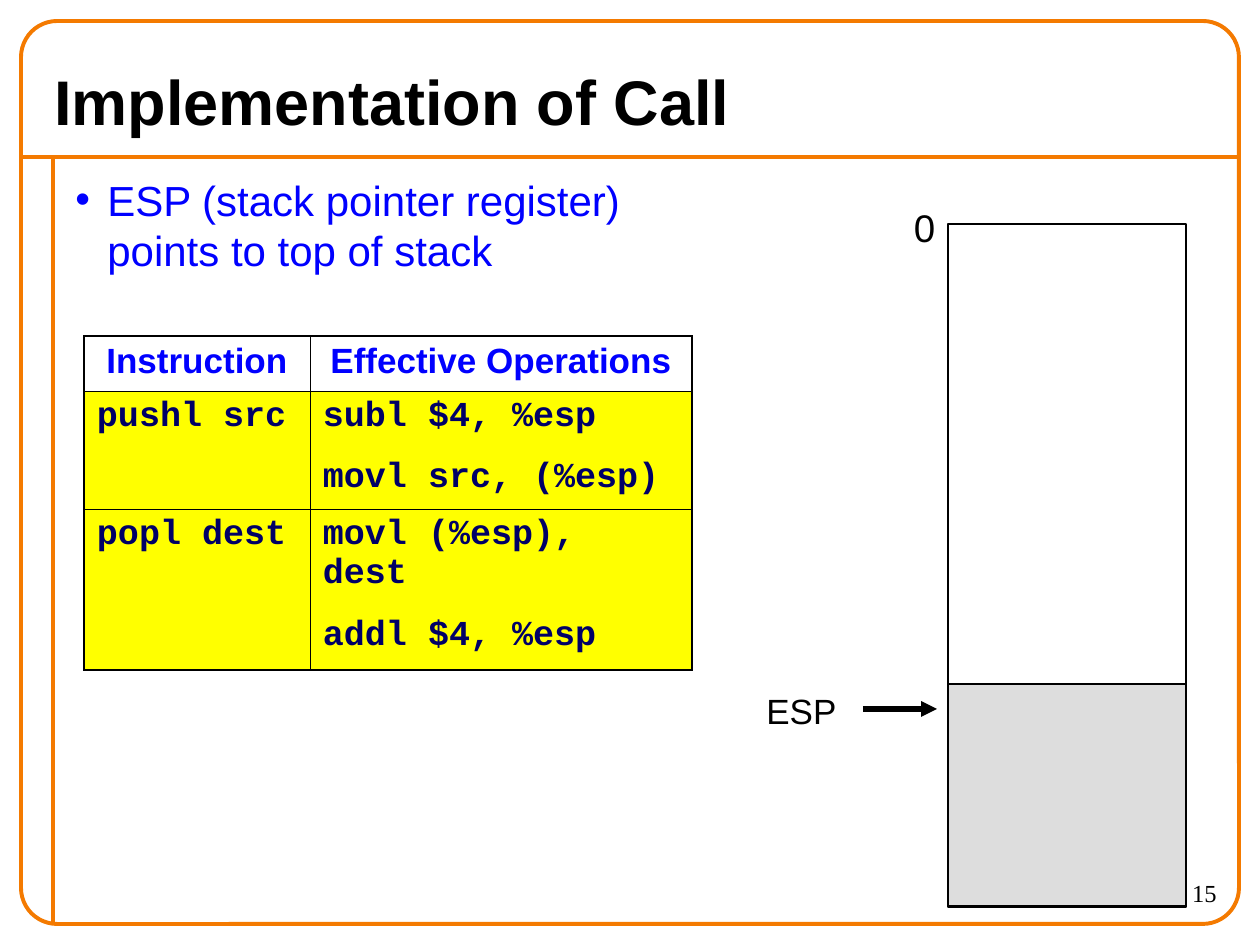
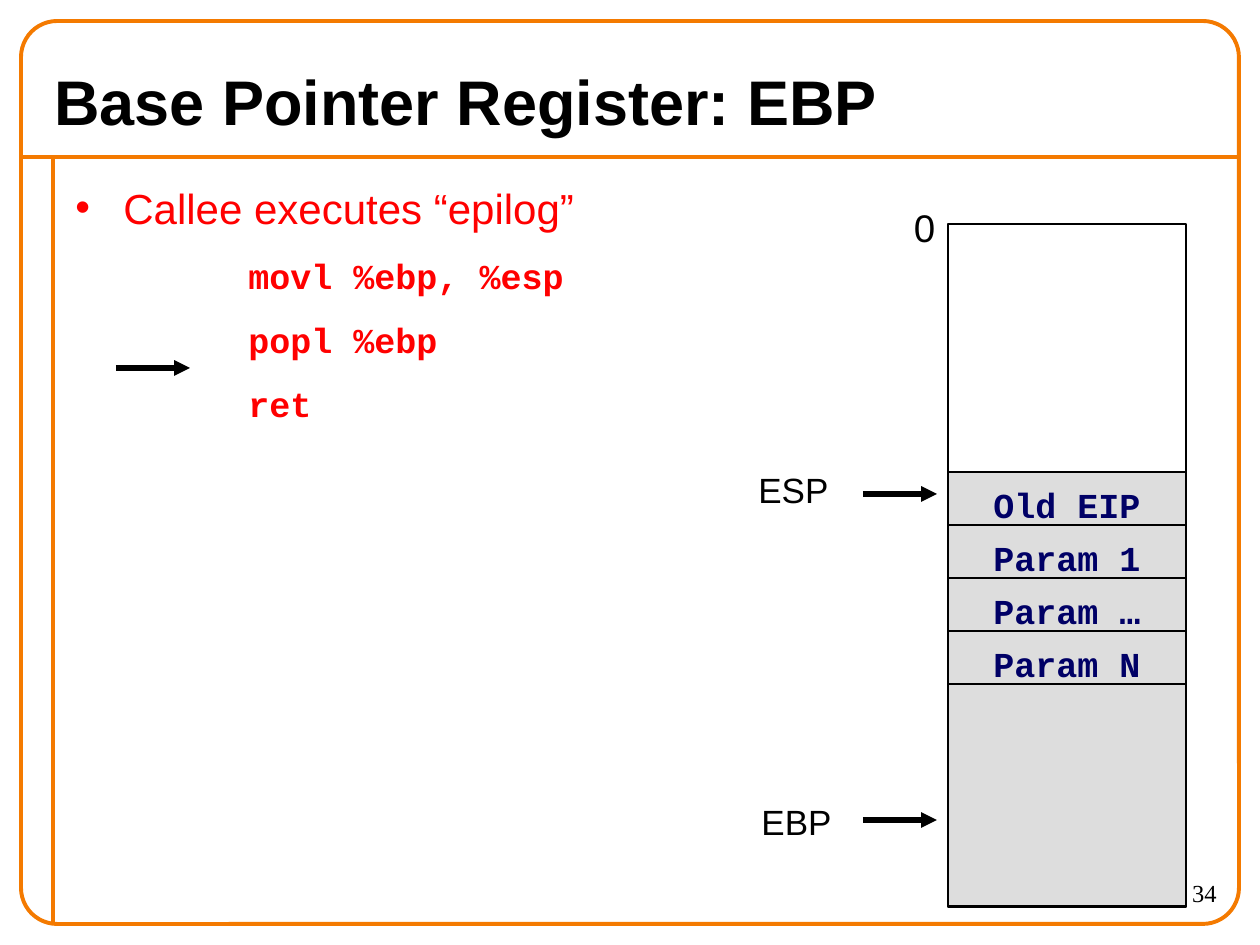
"""Build two slides on the call stack and its pointer registers."""
import pptx
import pptx.dml.color
import pptx.enum.shapes
import pptx.enum.text
import pptx.oxml
import pptx.oxml.ns
import pptx.util
from lxml import etree

SCALE = 914400 / 126
ALIGN = pptx.enum.text.PP_ALIGN
ANCHOR = pptx.enum.text.MSO_ANCHOR
RECT = pptx.enum.shapes.MSO_SHAPE.RECTANGLE
ROUND = pptx.enum.shapes.MSO_SHAPE.ROUNDED_RECTANGLE
BLACK, ORANGE, GREY = "000000", "F47A00", "DDDDDD"
BLUE, RED, NAVY, YELLOW = "0000FF", "FF0000", "000066", "FFFF00"
TITLE = {"name": "Arial", "size": 36, "bold": True, "color": BLACK}
LABEL = {"name": "Arial", "size": 20, "color": BLACK}
ZERO = {**LABEL, "size": 22}
HEAD = {**LABEL, "bold": True, "color": BLUE}
BODY = {"name": "Arial", "size": 24, "color": BLUE}
CODE = {"name": "Courier New", "size": 20, "bold": True, "color": NAVY}
NUMBER = {"name": "Times New Roman", "size": 14, "color": BLACK}
STACK_X, STACK_Y, STACK_W, STACK_H = 948, 224, 238, 683
BASE_Y, BASE_H, SLOT_H = 684, 222, 53
ARROW_X, ARROW_W = 863, 74


def emu(px):
    return pptx.util.Emu(round(px * SCALE))


def rgb(color):
    return pptx.dml.color.RGBColor.from_string(color)


def sub(parent, tag, **attrs):
    el = etree.SubElement(parent, pptx.oxml.ns.qn(tag))
    for key, value in attrs.items():
        el.set(key, str(value))
    return el


class Deck:
    def __init__(self):
        self.prs = pptx.Presentation()
        self.prs.slide_width, self.prs.slide_height = emu(1260), emu(945)

    def slide(self, title, number):
        self.s = self.prs.slides.add_slide(self.prs.slide_layouts[6])
        self.line(21, 157, 1239, 157, ORANGE, 2.25)
        self.line(53, 157, 53, 924, ORANGE, 2.25)
        sp = self.shape(ROUND, 21, 21, 1218, 903, ORANGE, 2.25)
        sp.adjustments[0] = 0.04
        self.text(1103, 872, 126, 53, [number], NUMBER, align=ALIGN.RIGHT)
        self.text(42, 53, 1176, 95, [title], TITLE, anchor=ANCHOR.MIDDLE)

    def shape(self, kind, x, y, w, h, color, width, fill=None):
        sp = self.s.shapes.add_shape(kind, emu(x), emu(y), emu(w), emu(h))
        sp.shadow.inherit = False
        sp.line.color.rgb = rgb(color)
        sp.line.width = pptx.util.Pt(width)
        if fill:
            sp.fill.solid()
            sp.fill.fore_color.rgb = rgb(fill)
        else:
            sp.fill.background()
        return sp

    def line(self, x1, y1, x2, y2, color=BLACK, width=3.0):
        cx = self.s.shapes.add_connector(
            pptx.enum.shapes.MSO_CONNECTOR.STRAIGHT, emu(x1), emu(y1), emu(x2), emu(y2))
        cx.line.color.rgb = rgb(color)
        cx.line.width = pptx.util.Pt(width)
        sub(cx._element.spPr, "a:effectLst")
        return cx

    def arrow(self, x, y):
        cx = self.line(x, y, x + ARROW_W, y)
        sub(cx.line._get_or_add_ln(), "a:tailEnd", type="triangle")

    def paragraphs(self, tf, lines, fmt, align=ALIGN.LEFT, indent=0):
        for i, text in enumerate(lines):
            p = tf.paragraphs[0] if i == 0 else tf.add_paragraph()
            self.paragraph(p, text, fmt, align, 12.5 if i else 0)
            if indent:
                pPr = p._p.get_or_add_pPr()
                pPr.set("marL", str(emu(indent)))
                pPr.set("indent", str(-emu(indent)))
                sub(pPr, "a:buFont", typeface="Arial")
                sub(pPr, "a:buChar", char="•")

    def paragraph(self, p, text, fmt, align, before):
        p.alignment = align
        p.space_before = pptx.util.Pt(before)
        r = p.add_run()
        r.text = text
        for key, value in fmt.items():
            if key == "color":
                r.font.color.rgb = rgb(value)
            else:
                setattr(r.font, key, pptx.util.Pt(value) if key == "size" else value)

    def text(self, x, y, w, h, lines, fmt, anchor=ANCHOR.TOP, **kw):
        tf = self.s.shapes.add_textbox(emu(x), emu(y), emu(w), emu(h)).text_frame
        tf.word_wrap = True
        tf.vertical_anchor = anchor
        self.paragraphs(tf, lines, fmt, **kw)
        return tf

    def stack(self, slots=()):
        self.shape(RECT, STACK_X, STACK_Y, STACK_W, STACK_H, BLACK, 1.5)
        self.shape(RECT, STACK_X, BASE_Y, STACK_W, BASE_H, BLACK, 0.75, GREY)
        self.text(885, 198, 79, 59, ["0"], ZERO, align=ALIGN.CENTER)
        for i, name in enumerate(slots):
            y = BASE_Y - (len(slots) - i) * SLOT_H
            sp = self.shape(RECT, STACK_X, y, STACK_W, SLOT_H, BLACK, 0.75, GREY)
            tf = sp.text_frame
            tf.vertical_anchor = ANCHOR.TOP
            tf.margin_top, tf.margin_bottom = emu(12), emu(0)
            self.paragraphs(tf, [name], CODE, ALIGN.CENTER)

    def pointer(self, name, x, y, w, arrow_y, align=ALIGN.CENTER):
        self.text(x, y, w, 55, [name], LABEL, align=align)
        self.arrow(ARROW_X, arrow_y)

    def table(self, x, y, widths, heights, rows):
        tbl = self.s.shapes.add_table(len(rows), len(widths), emu(x), emu(y),
                                      emu(sum(widths)), emu(sum(heights))).table
        tbl.first_row = tbl.horz_banding = False
        for col, w in zip(tbl.columns, widths):
            col.width = emu(w)
        for i, (row, h) in enumerate(zip(rows, heights)):
            tbl.rows[i].height = emu(h)
            for j, lines in enumerate(row):
                cell = tbl.cell(i, j)
                cell.margin_left = cell.margin_right = emu(13)
                cell.margin_top = cell.margin_bottom = emu(6)
                edges = {"L": j == 0, "R": j == len(widths) - 1,
                         "T": i == 0, "B": i == len(rows) - 1}
                for side, outer in edges.items():
                    ln = sub(cell._tc.get_or_add_tcPr(), "a:ln" + side,
                             w=pptx.util.Pt(1.08 if outer else 0.45))
                    sub(sub(ln, "a:solidFill"), "a:srgbClr", val=BLACK)
                if i:
                    cell.fill.solid()
                    cell.fill.fore_color.rgb = rgb(YELLOW)
                    self.paragraphs(cell.text_frame, lines, CODE)
                else:
                    cell.fill.background()
                    self.paragraphs(cell.text_frame, lines, HEAD, ALIGN.CENTER)


def main():
    deck = Deck()

    deck.slide("Implementation of Call", "15")
    deck.table(84, 336, [226, 382], [55, 118, 161], [
        [["Instruction"], ["Effective Operations"]],
        [["pushl src"], ["subl $4, %esp", "movl src, (%esp)"]],
        [["popl dest"], ["movl (%esp), dest", "addl $4, %esp"]],
    ])
    deck.stack()
    deck.pointer("ESP", 693, 683, 217, 709)
    deck.text(63, 168, 683, 113, ["ESP (stack pointer register) points to top of stack"],
              BODY, indent=32)

    deck.slide("Base Pointer Register: EBP", "34")
    deck.stack(["Old EIP", "Param 1", "Param …", "Param N"])
    deck.pointer("ESP", 746, 462, 190, 494, ALIGN.LEFT)
    deck.pointer("EBP", 693, 794, 207, 820)
    tf = deck.text(63, 176, 656, 687, ["Callee executes “epilog”"],
                   {**BODY, "color": RED}, indent=48)
    for code in ["movl %ebp, %esp", "popl %ebp", "ret"]:
        p = tf.add_paragraph()
        deck.paragraph(p, code, {**CODE, "color": RED}, ALIGN.LEFT, 12.5)
        p._p.get_or_add_pPr().set("marL", str(emu(173)))
    deck.arrow(116, 368)

    deck.prs.save("out.pptx")


if __name__ == "__main__":
    main()
